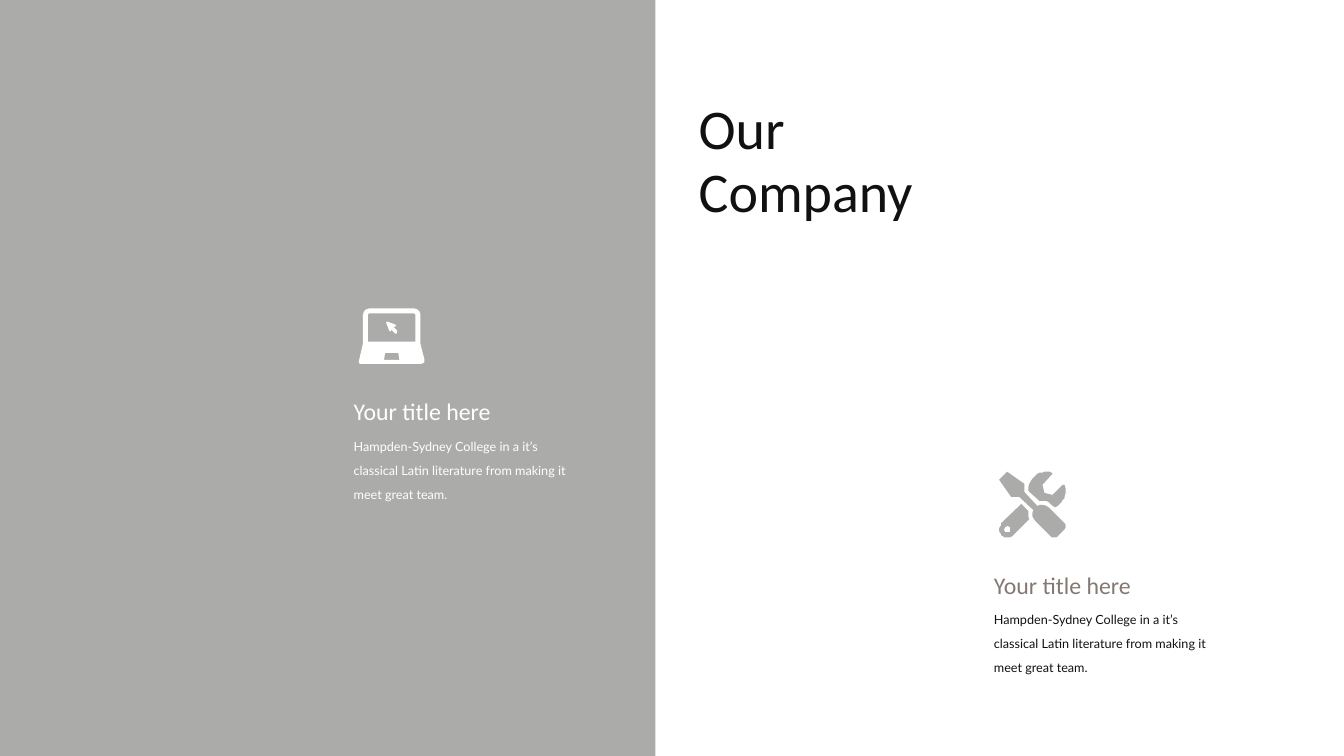
"""Build the "Our Company" slide with two icon cards on a split background."""
from dataclasses import dataclass

from pptx import Presentation
from pptx.dml.color import RGBColor
from pptx.enum.shapes import MSO_SHAPE
from pptx.enum.text import MSO_ANCHOR, MSO_AUTO_SIZE, PP_ALIGN
from pptx.util import Inches, Pt

RECTANGLE = MSO_SHAPE.RECTANGLE
TOP = MSO_ANCHOR.TOP
GROW = MSO_AUTO_SIZE.SHAPE_TO_FIT_TEXT
LEFT = PP_ALIGN.LEFT

Contour = list[tuple[int, int]]


@dataclass(frozen=True)
class Theme:
    gray: str = "ABACAA"
    white: str = "FFFFFF"
    ink: str = "111111"
    taupe: str = "857873"
    heading_font: str = "Calibri"
    body_font: str = "Lato"
    title_size: float = 40
    title_leading: float = 45
    heading_size: float = 17
    body_size: float = 9
    body_leading: float = 17


@dataclass(frozen=True)
class TextStyle:
    font: str
    size: float
    color: str
    leading: float | None = None


@dataclass(frozen=True)
class Card:
    left: float
    top: float
    icon: list[Contour]
    icon_top: float
    icon_color: str
    heading_color: str
    body_color: str


THEME = Theme()
HEADING = "Your title here"
BODY = ("Hampden-Sydney College in a it’s\n"
        "classical Latin literature from making it meet great team.")
ICON_UNIT = Inches(0.01)
ICON_INDENT = 0.15
BODY_DROP = 0.33

LAPTOP: list[Contour] = [
    [(65, 51), (61, 35), (61, 6), (60, 3), (58, 1), (55, 0), (10, 0), (7, 1), (5, 3),
     (4, 6), (4, 35), (0, 52), (0, 54), (1, 55), (3, 55), (62, 55), (64, 54), (65, 53)],
    [(40, 51), (25, 51), (25, 50), (26, 44), (39, 44), (40, 50)],
    [(56, 33), (9, 33), (9, 6), (10, 5), (55, 5), (56, 6)],
    [(34, 18), (36, 18), (37, 17), (36, 16), (28, 13), (27, 14), (30, 22), (31, 23),
     (32, 22), (32, 21), (36, 25), (37, 25), (38, 24), (38, 22)],
]
TOOLS: list[Contour] = [
    [(47, 0), (45, 0), (43, 1), (40, 1), (38, 2), (36, 4), (33, 7), (31, 10), (30, 12),
     (29, 15), (29, 19), (40, 29), (47, 29), (49, 30), (52, 33), (55, 35), (56, 35),
     (58, 34), (60, 32), (62, 30), (63, 28), (65, 26), (65, 24), (66, 21), (66, 17),
     (65, 13), (63, 13), (53, 23), (45, 21), (43, 13), (52, 3), (53, 2), (52, 1), (50, 0)],
    [(9, 54), (11, 55), (11, 58), (11, 60), (6, 60), (5, 58), (5, 57), (6, 55), (8, 54)],
    [(22, 32), (2, 51), (2, 53), (0, 56), (0, 59), (2, 62), (2, 63), (4, 64), (5, 65),
     (11, 65), (13, 64), (14, 63), (30, 47), (29, 45), (29, 39)],
    [(8, 0), (0, 8), (12, 25), (20, 25), (34, 38), (33, 41), (33, 44), (34, 46), (36, 49),
     (51, 64), (52, 65), (57, 65), (58, 64), (65, 57), (66, 55), (66, 53), (65, 51),
     (50, 36), (47, 34), (44, 33), (40, 33), (38, 34), (25, 20), (25, 12)],
]
CARDS = [
    Card(3.41, 3.89, LAPTOP, 3.06, THEME.white, THEME.white, THEME.white),
    Card(9.76, 5.61, TOOLS, 4.68, THEME.gray, THEME.taupe, THEME.ink),
]


def place(sp, left: float, top: float, width: float, height: float) -> None:
    """Set the position and size of a shape in inches."""
    sp.left, sp.top = Inches(left), Inches(top)
    sp.width, sp.height = Inches(width), Inches(height)


def paint(sp, color: str) -> None:
    """Give a shape a flat fill without outline or shadow."""
    sp.shadow.inherit = False
    sp.fill.solid()
    sp.fill.fore_color.rgb = RGBColor.from_string(color)
    sp.line.fill.background()


def write(sp, text: str, style: TextStyle) -> None:
    """Fill a text shape, one paragraph per line, and format it."""
    tf = sp.text_frame
    tf.text = text
    tf.word_wrap = True
    tf.auto_size = GROW
    tf.vertical_anchor = TOP
    for p in tf.paragraphs:
        p.alignment = LEFT
        if style.leading:
            p.line_spacing = Pt(style.leading)
        for r in p.runs:
            r.font.name = style.font
            r.font.size = Pt(style.size)
            r.font.color.rgb = RGBColor.from_string(style.color)


def add_text(s, left: float, top: float, width: float, height: float,
             text: str, style: TextStyle) -> None:
    """Add a formatted text box."""
    sp = s.shapes.add_textbox(0, 0, 0, 0)
    place(sp, left, top, width, height)
    write(sp, text, style)


def add_icon(s, left: float, top: float, contours: list[Contour], color: str) -> None:
    """Draw closed contours as one freeform."""
    first, *others = contours
    builder = s.shapes.build_freeform(*first[0], scale=ICON_UNIT)
    builder.add_line_segments(first[1:], close=True)
    for contour in others:
        builder.move_to(*contour[0])
        builder.add_line_segments(contour[1:], close=True)
    paint(builder.convert_to_shape(Inches(left), Inches(top)), color)


def add_card(s, card: Card) -> None:
    """Draw an icon with its heading and text."""
    add_icon(s, card.left + ICON_INDENT, card.icon_top, card.icon, card.icon_color)
    add_text(s, card.left, card.top, 2.6, 0.39, HEADING,
             TextStyle(THEME.heading_font, THEME.heading_size, card.heading_color))
    add_text(s, card.left, card.top + BODY_DROP, 2.54, 0.78, BODY,
             TextStyle(THEME.body_font, THEME.body_size, card.body_color, THEME.body_leading))


def main() -> None:
    """Create and save the presentation."""
    prs = Presentation()
    prs.slide_width, prs.slide_height = Inches(13.33), Inches(7.5)
    s = prs.slides.add_slide(prs.slide_layouts[5])
    panel = s.shapes.add_shape(RECTANGLE, 0, 0, Inches(6.5), prs.slide_height)
    paint(panel, THEME.gray)
    title = s.shapes.title
    place(title, 6.83, 0.92, 4.38, 1.36)
    write(title, "Our\nCompany",
          TextStyle(THEME.heading_font, THEME.title_size, THEME.ink, THEME.title_leading))
    for card in CARDS:
        add_card(s, card)
    prs.save("out.pptx")


if __name__ == "__main__":
    main()
